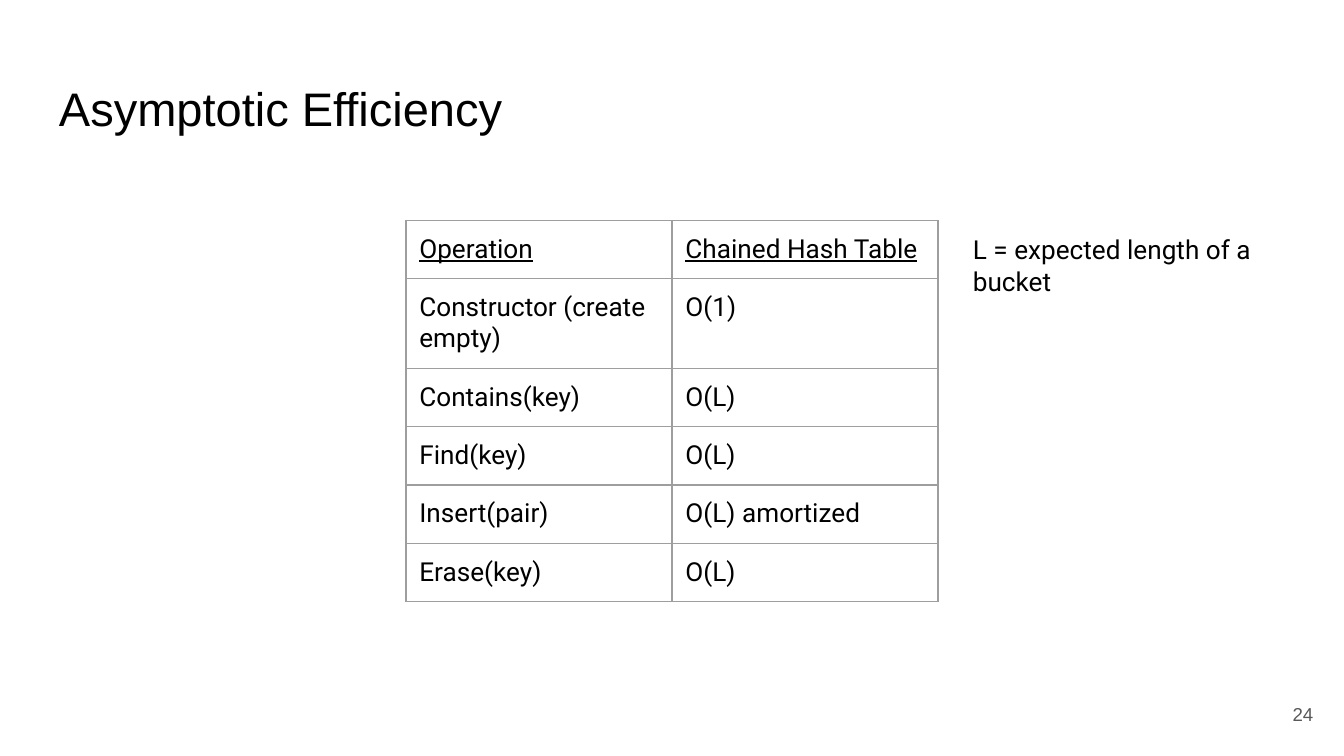
from lxml import etree
from pptx import Presentation
from pptx import util as u
from pptx.dml.color import RGBColor
from pptx.enum import text
from pptx.oxml import ns

BLACK = RGBColor(0x00, 0x00, 0x00)
GRAY = RGBColor(0x59, 0x59, 0x59)
BORDER = RGBColor(0x9E, 0x9E, 0x9E)
INSET = u.Inches(0.1)
COLUMN_WIDTH = u.Inches(1.98)
ROW_HEIGHT = u.Inches(0.42)

ROWS = [
    ("Operation", "Chained Hash Table"),
    ("Constructor (create empty)", "O(1)"),
    ("Contains(key)", "O(L)"),
    ("Find(key)", "O(L)"),
    ("Insert(pair)", "O(L) amortized"),
    ("Erase(key)", "O(L)"),
]


def write(paragraph, words, font_name, size, color):
    paragraph.text = words
    paragraph.font.name = font_name
    paragraph.font.size = u.Pt(size)
    paragraph.font.color.rgb = color


def add_border(cell, side):
    line = etree.SubElement(cell._tc.get_or_add_tcPr(), ns.qn(f"a:ln{side}"), w=str(u.Pt(0.75)))
    fill = etree.SubElement(line, ns.qn("a:solidFill"))
    etree.SubElement(fill, ns.qn("a:srgbClr"), val=str(BORDER))


presentation = Presentation()
presentation.slide_width = u.Inches(10)
presentation.slide_height = presentation.slide_width * 9 // 16
slide = presentation.slides.add_slide(presentation.slide_layouts[6])

LEFT, RIGHT = text.PP_ALIGN.LEFT, text.PP_ALIGN.RIGHT
TOP, MIDDLE = text.MSO_ANCHOR.TOP, text.MSO_ANCHOR.MIDDLE
for words, box, font_name, size, color, alignment, anchor in [
    ("Asymptotic Efficiency", (0.34, 0.49, 9.32, 0.63), "Arial", 25.2, BLACK, LEFT, TOP),
    ("24", (9.27, 5.1, 0.6, 0.43), "Arial", 10, GRAY, RIGHT, MIDDLE),
    ("L = expected length of a bucket", (7.14, 1.64, 2.72, 0.53), "Roboto", 14, BLACK, LEFT, TOP),
]:
    shape = slide.shapes.add_textbox(*map(u.Inches, box))
    frame = shape.text_frame
    frame.word_wrap = True
    frame.vertical_anchor = anchor
    frame.margin_left = frame.margin_right = frame.margin_top = frame.margin_bottom = INSET
    paragraph = frame.paragraphs[0]
    paragraph.alignment = alignment
    write(paragraph, words, font_name, size, color)

table = slide.shapes.add_table(
    len(ROWS), 2, u.Inches(3.02), u.Inches(1.64), 2 * COLUMN_WIDTH, len(ROWS) * ROW_HEIGHT
).table
table.first_row = False
table.horz_banding = False

for row_index, row in enumerate(ROWS):
    for column_index, words in enumerate(row):
        cell = table.cell(row_index, column_index)
        cell.margin_left = cell.margin_right = cell.margin_top = cell.margin_bottom = INSET
        for side in "LRTB":
            add_border(cell, side)
        cell.fill.background()
        paragraph = cell.text_frame.paragraphs[0]
        write(paragraph, words, "Roboto", 14, BLACK)
        paragraph.font.underline = row_index == 0

presentation.save("out.pptx")
